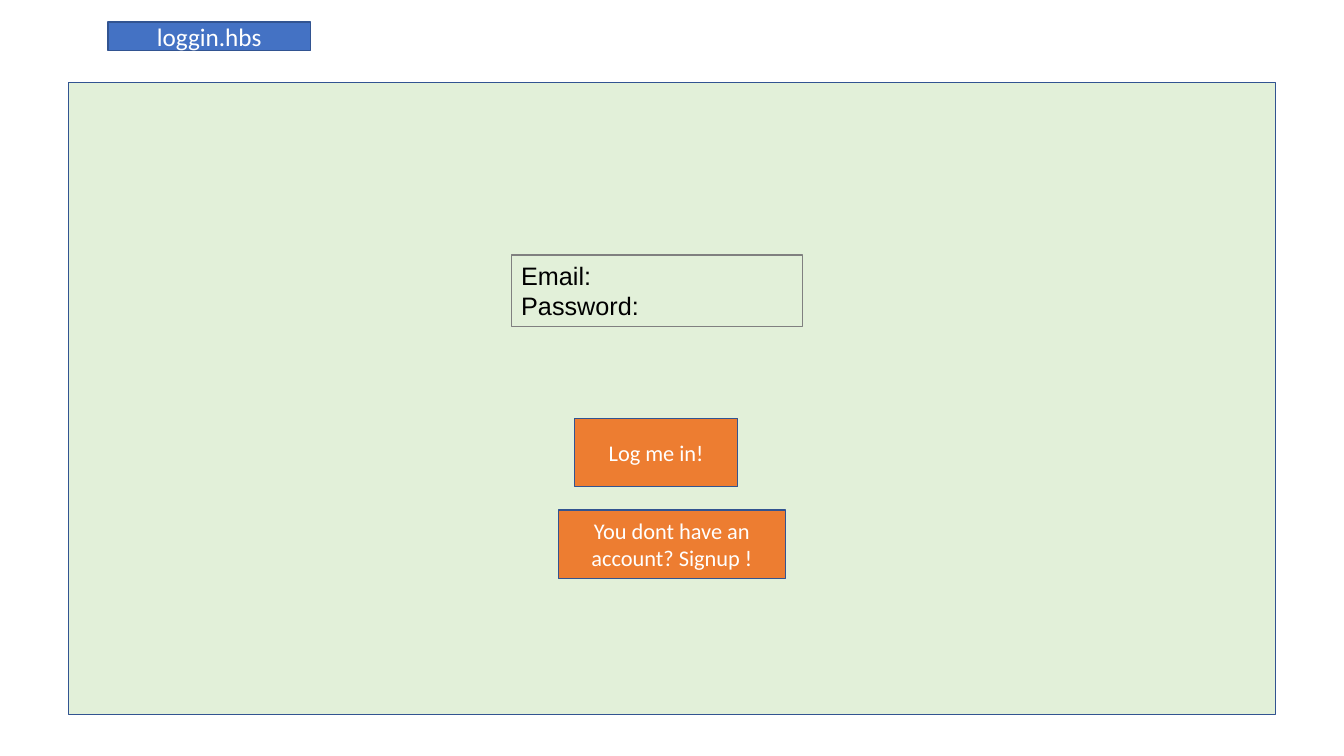
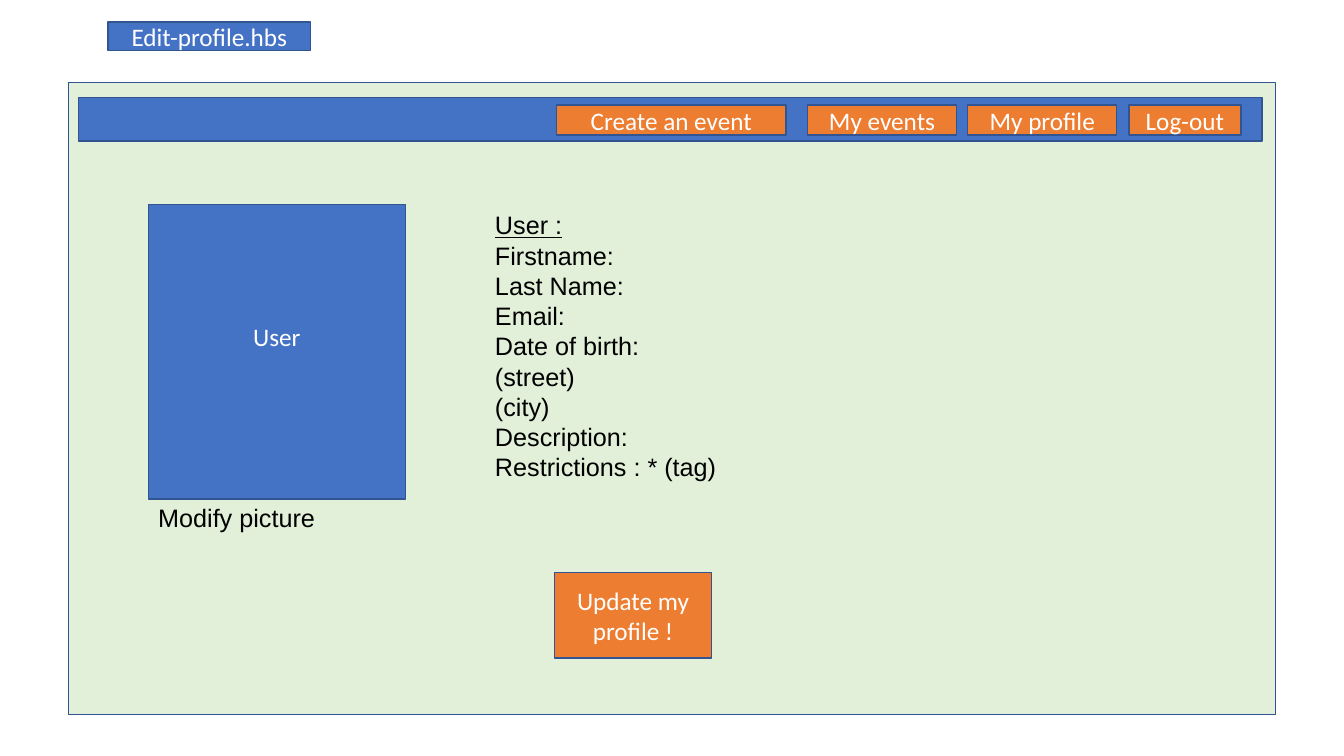
from lxml.etree import SubElement
from pptx import Presentation
from pptx.dml.color import RGBColor
from pptx.enum.shapes import MSO_SHAPE as Preset
from pptx.enum.text import MSO_ANCHOR as Anchor, MSO_AUTO_SIZE as AutoSize, PP_ALIGN as Align
from pptx.oxml.ns import qn
from pptx.util import Inches, Pt

BLUE, NAVY, ORANGE, GREEN = "4472C4", "325491", "ED7D31", "E2F0D9"
GREY, BLACK, WHITE = "808080", "000000", "FFFFFF"
LABEL = {"name": "Calibri", "size": Pt(18), "bold": False}
SMALL_LABEL = {**LABEL, "size": Pt(16)}
FIELD = {"name": "Arial", "size": Pt(18)}
CENTRED = {"alignment": Align.CENTER}
STACKED = {"alignment": Align.LEFT, "space_before": Pt(0), "space_after": Pt(0)}


def rgb(code):
    return RGBColor.from_string(code)


def assign(target, values):
    for key, value in values.items():
        setattr(target, key, value)


class Wireframe:
    def __init__(self):
        self.deck = Presentation()
        self.deck.slide_width, self.deck.slide_height = Inches(13.33), Inches(7.5)

    def across(self, percent):
        return round(self.deck.slide_width * percent / 100)

    def down(self, percent):
        return round(self.deck.slide_height * percent / 100)

    def place(self, shape, box):
        left, top, width, height = box
        assign(shape, {"left": self.across(left), "top": self.down(top),
                       "width": self.across(width), "height": self.down(height)})

    def paint(self, shape, fill, line=NAVY, weight=1):
        if fill:
            shape.fill.solid()
            shape.fill.fore_color.rgb = rgb(fill)
        shape.line.color.rgb = rgb(line)
        shape.line.width = Pt(weight)

    def letter(self, shape, lines, font, colour, layout, anchor):
        frame = shape.text_frame
        frame.text = "\n".join(lines)
        assign(frame, {"word_wrap": True, "auto_size": AutoSize.NONE,
                       "vertical_anchor": anchor})
        for paragraph in frame.paragraphs:
            assign(paragraph, layout)
            assign(paragraph.runs[0].font, font)
            paragraph.runs[0].font.color.rgb = rgb(colour)

    def page(self, filename):
        self.slide = self.deck.slides.add_slide(self.deck.slide_layouts[1])
        panel = self.block((5.1, 10.93, 89.8, 83.6), GREEN)
        self.slide.shapes.element.insert(2, panel.element)
        tab = self.slide.shapes.title
        self.place(tab, (8.03, 2.93, 15.08, 3.73))
        self.paint(tab, BLUE)
        self.letter(tab, [filename], LABEL, WHITE, CENTRED, Anchor.MIDDLE)

    def block(self, box, fill, label=None, font=LABEL):
        shape = self.slide.shapes.add_shape(Preset.RECTANGLE, 0, 0, 0, 0)
        self.place(shape, box)
        shape.shadow.inherit = False
        self.paint(shape, fill)
        if label:
            self.letter(shape, [label], font, WHITE, CENTRED, Anchor.MIDDLE)
        return shape

    def fields(self, box, lines):
        body = self.slide.placeholders[1]
        self.place(body, box)
        self.letter(body, lines, FIELD, BLACK, STACKED, Anchor.TOP)
        for paragraph in body.text_frame.paragraphs:
            properties = paragraph._p.get_or_add_pPr()
            properties.set("marL", "0")
            properties.set("indent", "0")
            SubElement(properties, qn("a:buNone"))
        return body

    def caption(self, box, text):
        note = self.slide.shapes.add_textbox(0, 0, 0, 0)
        self.place(note, box)
        self.letter(note, [text], FIELD, BLACK, STACKED, Anchor.TOP)

    def navigation(self, buttons):
        self.block((5.85, 12.93, 88.05, 5.73), BLUE)
        for label, left, width in buttons:
            self.block((left, 13.87, width, 4), ORANGE, label)


wireframe = Wireframe()

wireframe.page("loggin.hbs")
credentials = wireframe.fields((38.03, 33.73, 21.68, 9.47), ["Email:", "Password:"])
wireframe.paint(credentials, None, GREY, 0.75)
wireframe.block((42.75, 55.33, 12.15, 9.07), ORANGE, "Log me in!", SMALL_LABEL)
wireframe.block((41.55, 67.47, 16.88, 9.07), ORANGE,
                "You dont have an account? Signup !", SMALL_LABEL)

wireframe.page("Edit-profile.hbs")
wireframe.navigation([("Create an event", 41.4, 17.1), ("My events", 60.08, 11.1),
                      ("My profile", 72, 11.1), ("Log-out", 84, 8.33)])
portrait = wireframe.block((11.03, 27.07, 19.13, 38.93), BLUE, "User")
portrait.text_frame.margin_bottom = wireframe.down(4.67)
wireframe.caption((11.03, 65.73, 26.03, 5.33), "Modify picture")
profile = wireframe.fields((36.08, 27.07, 26.03, 37.73), [
    "User :", "Firstname:", "Last Name:", "Email:", "Date of birth:",
    "(street)", "(city)", "Description:", "Restrictions : * (tag)"])
profile.text_frame.paragraphs[0].runs[0].font.underline = True
wireframe.block((41.25, 75.73, 11.7, 11.33), ORANGE, "Update my profile !")

wireframe.deck.save("out.pptx")
